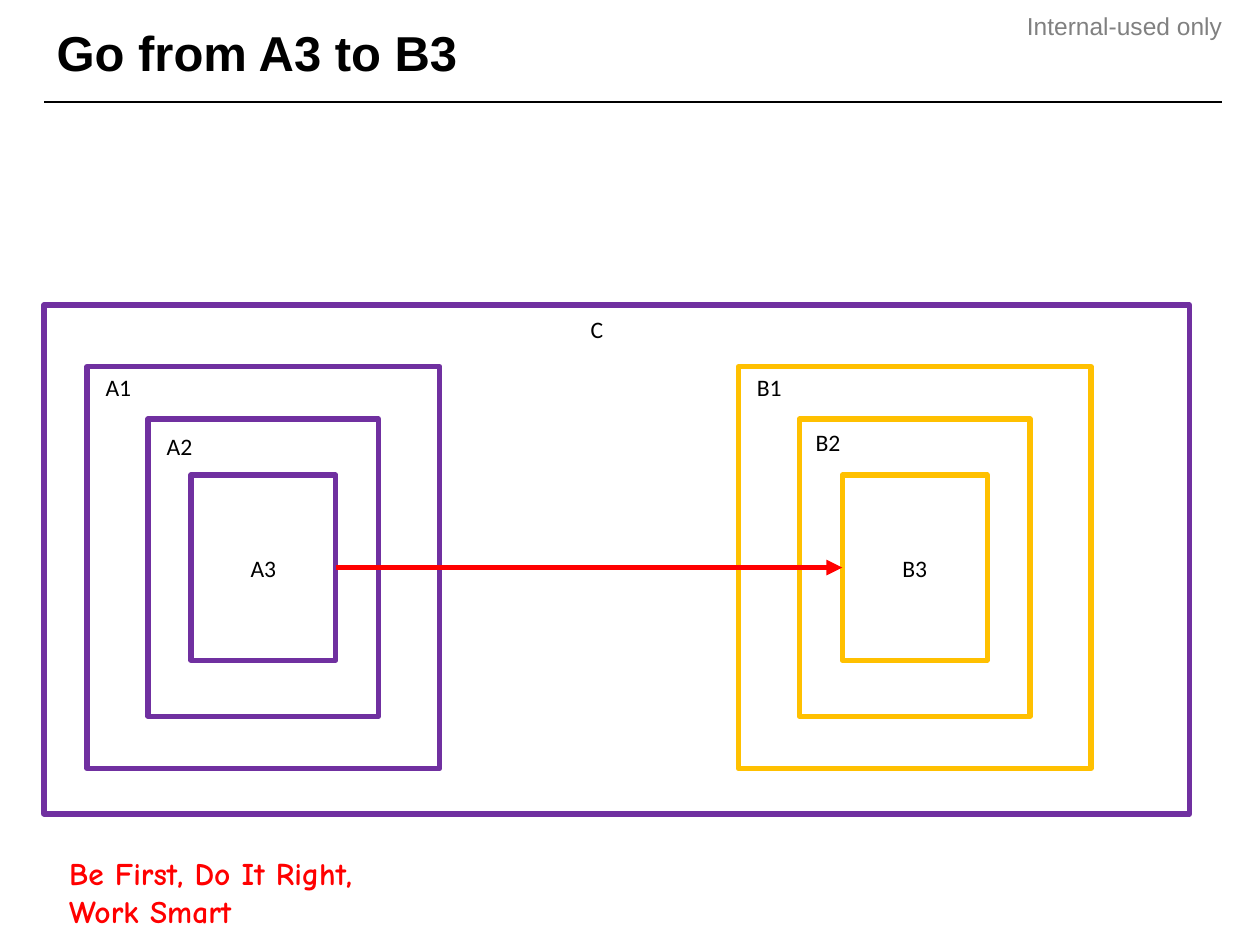
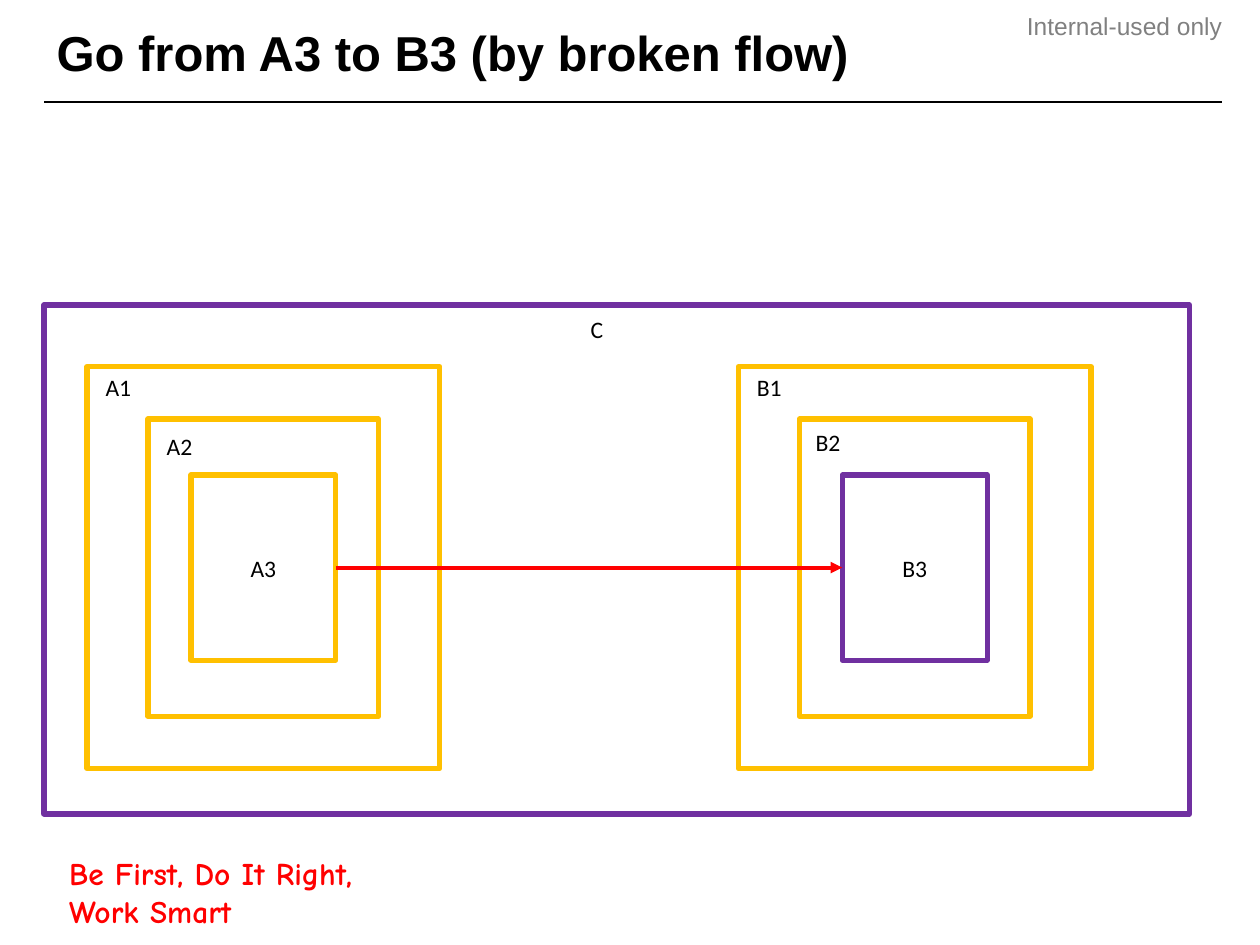
from collections import namedtuple

from lxml import etree
from pptx import Presentation
from pptx.dml.color import RGBColor
from pptx.enum.shapes import MSO_CONNECTOR, MSO_SHAPE
from pptx.enum.text import MSO_ANCHOR, MSO_AUTO_SIZE, PP_ALIGN
from pptx.oxml.ns import qn
from pptx.util import Inches, Pt

COLORS = {
    "ink": "000000",
    "grey": "808080",
    "red": "FF0000",
    "purple": "7030A0",
    "amber": "FFC000",
    "white": "FFFFFF",
}
TITLE_STYLE = {"name": "Arial", "size": Pt(28), "bold": True}
NOTICE_STYLE = {"name": "Arial", "size": Pt(14)}
MOTTO_STYLE = {"name": "Comic Neue", "size": Pt(18), "bold": True}
LABEL_STYLE = {"name": "Calibri", "size": Pt(13.5)}
RING_SIZES = [(2.8, 3.19), (1.83, 2.36), (1.15, 1.47)]
RING_LINE = 3

# Every box is given in inches
Box = namedtuple("Box", "left top width height")
TITLE_BOX = Box(0.35, 0.08, 9.35, 0.73)
NOTICE_BOX = Box(7.97, 0.09, 1.73, 0.24)
MOTTO_BOX = Box(0.45, 6.96, 2.68, 0.24)
FLOW_BOX = Box(0.35, 2.42, 9.09, 4.04)


def emu(box):
    return [Inches(length) for length in box]


def color(name):
    return RGBColor.from_string(COLORS[name])


def write(shape, text, style, ink="ink", align=PP_ALIGN.LEFT,
          anchor=MSO_ANCHOR.TOP, inset=(0.1, 0.05), wrap=True):
    """Put one formatted paragraph in a shape and return its span."""
    frame = shape.text_frame
    settings = {
        "word_wrap": wrap, "vertical_anchor": anchor,
        "auto_size": MSO_AUTO_SIZE.NONE if wrap else MSO_AUTO_SIZE.SHAPE_TO_FIT_TEXT,
        "margin_left": Inches(inset[0]), "margin_right": Inches(inset[0]),
        "margin_top": Inches(inset[1]), "margin_bottom": Inches(inset[1]),
    }
    for key, value in settings.items():
        setattr(frame, key, value)
    para = frame.paragraphs[0]
    para.alignment = align
    span = para.add_run()
    span.text = text
    for key, value in style.items():
        setattr(span.font, key, value)
    span.font.color.rgb = color(ink)
    return span


def add_line(page, start, end, ink, width):
    line = page.shapes.add_connector(
        MSO_CONNECTOR.STRAIGHT, *emu(start), *emu(end))
    line.line.color.rgb = color(ink)
    line.line.width = Pt(width)
    etree.SubElement(line._element.spPr, qn("a:effectLst"))
    return line


def add_frame(page, box, ink, fill=None):
    shape = page.shapes.add_shape(MSO_SHAPE.RECTANGLE, *emu(box))
    shape.shadow.inherit = False
    if fill:
        shape.fill.solid()
        shape.fill.fore_color.rgb = color(fill)
    else:
        shape.fill.background()
    shape.line.color.rgb = color(ink)
    shape.line.width = Pt(RING_LINE)
    return shape


def add_label(page, text, box, offset, width):
    """Name a frame, at an offset from its top left corner."""
    place = Box(box.left + offset[0], box.top + offset[1], width, 0.33)
    label = page.shapes.add_textbox(*emu(place))
    write(label, text, LABEL_STYLE, wrap=False)


def outline_text(span, ink, width):
    properties = span.font._element
    line = etree.Element(qn("a:ln"), w=str(Pt(width)))
    fill = etree.SubElement(line, qn("a:solidFill"))
    etree.SubElement(fill, qn("a:srgbClr"), val=COLORS[ink])
    properties.insert(0, line)


def start_page(deck, title):
    """Add a page with the title, rule, notice and motto all pages share."""
    page = deck.slides.add_slide(deck.slide_layouts[5])

    # Notice in the top right corner
    notice = page.shapes.add_textbox(*emu(NOTICE_BOX))
    write(notice, "Internal-used only", NOTICE_STYLE, "grey",
          PP_ALIGN.RIGHT, inset=(0, 0))

    # Motto at the foot
    motto = page.shapes.add_textbox(*emu(MOTTO_BOX))
    span = write(motto, "Be First, Do It Right, Work Smart", MOTTO_STYLE,
                 "red", anchor=MSO_ANCHOR.MIDDLE)
    outline_text(span, "red", 0.75)

    # Title and the rule below it
    heading = page.shapes.title
    for side, length in zip(Box._fields, emu(TITLE_BOX)):
        setattr(heading, side, length)
    write(heading, title, TITLE_STYLE, anchor=MSO_ANCHOR.MIDDLE)
    heading.text_frame.paragraphs[0].line_spacing = 0.9
    bottom = TITLE_BOX.top + TITLE_BOX.height
    add_line(page, (TITLE_BOX.left, bottom),
             (TITLE_BOX.left + TITLE_BOX.width, bottom), "ink", 1)
    return page


def add_nest(page, letter, box, inks, fill=None):
    """Draw three concentric frames; return their boxes and the core shape."""
    rings = [Box(box.left + (box.width - width) / 2,
                 box.top + (box.height - height) / 2, width, height)
             for width, height in RING_SIZES]
    frames = [add_frame(page, ring, ink, fill) for ring, ink in zip(rings, inks)]
    core = frames[-1]
    write(core, f"{letter}3", LABEL_STYLE, align=PP_ALIGN.CENTER,
          anchor=MSO_ANCHOR.MIDDLE, inset=(0.07, 0.04))
    return rings, core


def add_flow(page, box, inks_a, inks_b, arrow_width):
    """Draw frame C with nests A and B and the arrow between their cores."""
    add_frame(page, box, "purple")
    add_label(page, "C", box, (4.24, 0.03), 0.3)

    width, height = RING_SIZES[0]
    nest_a = Box(box.left + 0.34, box.top + 0.49, width, height)
    nest_b = nest_a._replace(left=box.left + 5.51)
    rings_a, core_a = add_nest(page, "A", nest_a, inks_a)
    rings_b, core_b = add_nest(page, "B", nest_b, inks_b, "white")

    # Arrow from A3 to B3, glued to the right and left sides
    arrow = add_line(page, (0, 0), (1, 1), "red", arrow_width)
    arrow.begin_connect(core_a, 3)
    arrow.end_connect(core_b, 1)
    etree.SubElement(arrow.line._get_or_add_ln(), qn("a:tailEnd"), type="triangle")

    # Names of the outer and middle frames
    add_label(page, "A2", rings_a[1], (0.05, 0.05), 0.41)
    add_label(page, "A1", rings_a[0], (0.05, 0), 0.41)
    add_label(page, "B1", rings_b[0], (0.05, 0), 0.4)
    add_label(page, "B2", rings_b[1], (0.03, 0.02), 0.4)


deck = Presentation()
deck.slide_width, deck.slide_height = Inches(10), Inches(7.5)

# Direct flow: the frames of A are highlighted
page = start_page(deck, "Go from A3 to B3")
add_flow(page, FLOW_BOX, ["purple"] * 3, ["amber"] * 3, 3)

# Broken flow: only the target is highlighted
page = start_page(deck, "Go from A3 to B3 (by broken flow)")
add_flow(page, FLOW_BOX, ["amber"] * 3, ["amber", "amber", "purple"], 2.25)

deck.save("out.pptx")
